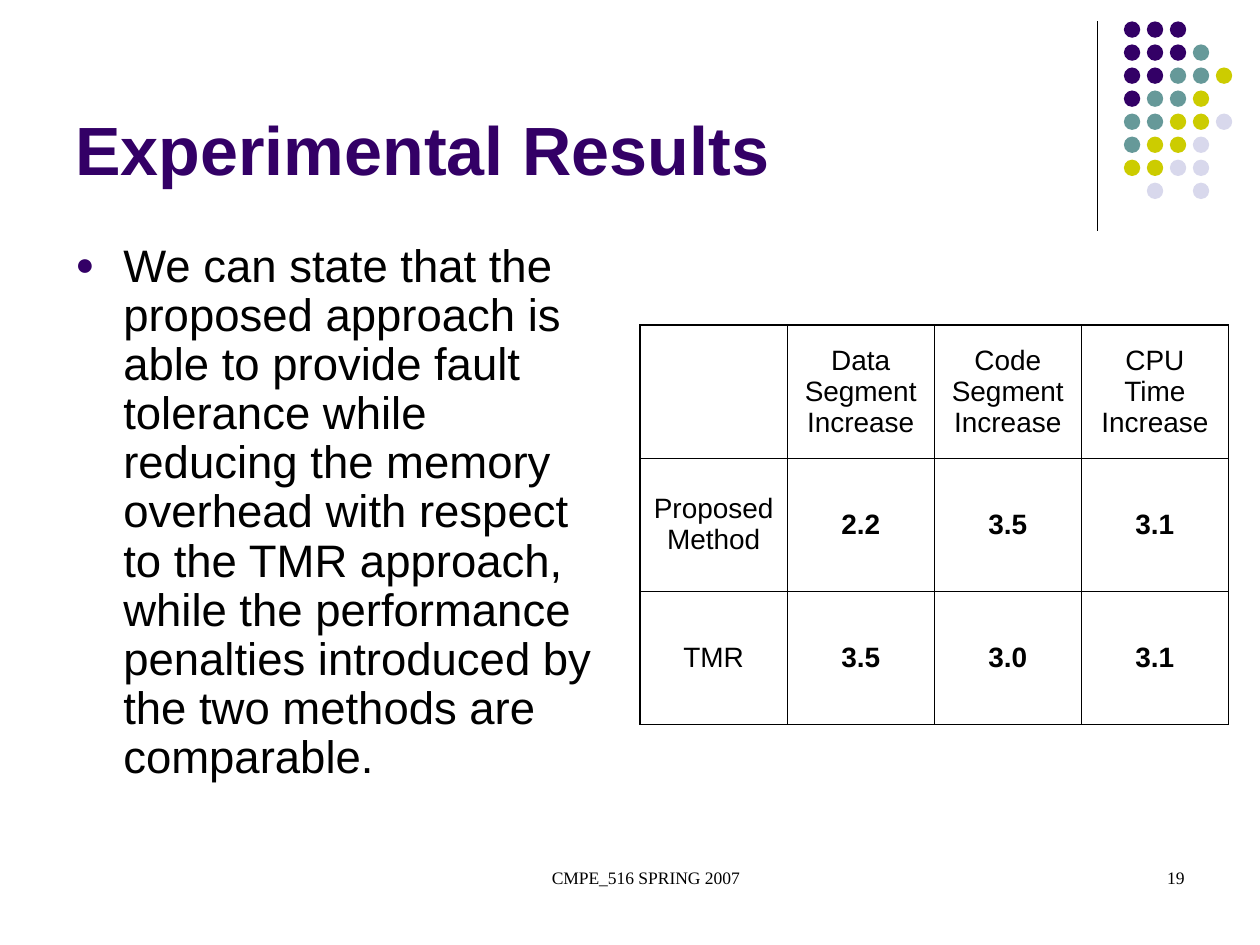
from lxml import etree
from pptx import Presentation
from pptx.dml.color import RGBColor
from pptx.enum import shapes, text
from pptx.oxml import ns
from pptx.util import Inches, Pt

PURPLE = RGBColor(0x33, 0x00, 0x66)
TEAL = RGBColor(0x66, 0x99, 0x99)
OLIVE = RGBColor(0xCC, 0xCC, 0x00)
LAVENDER = RGBColor(0xD8, 0xD8, 0xEC)
BLACK = RGBColor(0x00, 0x00, 0x00)

DOT_COLORS = {"P": PURPLE, "T": TEAL, "O": OLIVE, "L": LAVENDER}
DOT_ROWS = ["PPP", "PPPT", "PPTTO", "PTTO", "TTOOL", "TOOL", "OOLL", " L L"]
RESULTS = [
    ["", "Data Segment Increase", "Code Segment Increase", "CPU Time Increase"],
    ["Proposed Method", "2.2", "3.5", "3.1"],
    ["TMR", "3.5", "3.0", "3.1"],
]
STATEMENT = (
    "We can state that the proposed approach is able to provide fault tolerance "
    "while reducing the memory overhead with respect to the TMR approach, while "
    "the performance penalties introduced by the two methods are comparable."
)


def add_child(parent, tag, **attributes):
    """Append a DrawingML element and return it."""
    return etree.SubElement(parent, ns.qn(tag), attributes)


def style(paragraph, size, color=BLACK, name="Arial", bold=False):
    """Format every run of a paragraph."""
    for run in paragraph.runs:
        run.font.size = Pt(size)
        run.font.name = name
        run.font.bold = bold
        run.font.color.rgb = color


def add_text(slide, box, words, anchor=text.MSO_ANCHOR.TOP):
    """Place a wrapping text box and return its paragraph."""
    frame = slide.shapes.add_textbox(*box).text_frame
    frame.word_wrap = True
    frame.vertical_anchor = anchor
    frame.text = words
    return frame.paragraphs[0]


def add_divider(slide, x, top, bottom):
    """Draw the vertical rule beside the dots."""
    divider = slide.shapes.add_connector(
        shapes.MSO_CONNECTOR.STRAIGHT, x, top, x, bottom)
    divider.line.color.rgb = BLACK
    divider.line.width = Pt(0.75)
    add_child(divider._element.spPr, "a:effectLst")


def add_dots(slide, left, top, width, height):
    """Fill a box with the grid of coloured dots."""
    size = Inches(0.13)
    column_step = (width - size) / (max(map(len, DOT_ROWS)) - 1)
    row_step = (height - size) / (len(DOT_ROWS) - 1)
    dots = slide.shapes.add_group_shape()
    for row, codes in enumerate(DOT_ROWS):
        for column, code in enumerate(codes):
            if code == " ":
                continue
            dot = dots.shapes.add_shape(
                shapes.MSO_SHAPE.OVAL, round(left + column * column_step),
                round(top + row * row_step), size, size)
            dot.shadow.inherit = False
            dot.fill.solid()
            dot.fill.fore_color.rgb = DOT_COLORS[code]
            dot.line.fill.background()


def add_title(slide, *box):
    """Write the slide title."""
    title = add_text(slide, box, "Experimental Results", text.MSO_ANCHOR.BOTTOM)
    style(title, 39, PURPLE, bold=True)


def add_statement(slide, *box):
    """Write the bulleted conclusion."""
    statement = add_text(slide, box, STATEMENT)
    properties = statement._p.get_or_add_pPr()
    properties.set("marL", str(Inches(0.38)))
    properties.set("indent", str(-Inches(0.38)))
    bullet_color = add_child(properties, "a:buClr")
    add_child(bullet_color, "a:srgbClr", val=str(PURPLE))
    add_child(properties, "a:buSzPct", val="70000")
    add_child(properties, "a:buFont", typeface="Arial")
    add_child(properties, "a:buChar", char="●")
    statement.line_spacing = 0.9
    style(statement, 26)


def add_borders(cell, outer_sides):
    """Draw a cell's four borders, heavier on the table's outside."""
    properties = cell._tc.get_or_add_tcPr()
    for position, side in enumerate("LRTB"):
        weight = Pt(1.08 if side in outer_sides else 0.45)
        border = etree.Element(ns.qn(f"a:ln{side}"), w=str(weight))
        fill = add_child(border, "a:solidFill")
        add_child(fill, "a:srgbClr", val=str(BLACK))
        properties.insert(position, border)


def add_results(slide, left, top, width, height):
    """Build the table that compares the two methods."""
    last_row, last_column = len(RESULTS) - 1, len(RESULTS[0]) - 1
    table = slide.shapes.add_table(
        last_row + 1, last_column + 1, left, top, width, height).table
    table.first_row = table.horz_banding = False
    for row, values in enumerate(RESULTS):
        for column, value in enumerate(values):
            cell = table.cell(row, column)
            cell.text = value
            cell.vertical_anchor = text.MSO_ANCHOR.MIDDLE
            cell.fill.background()
            paragraph = cell.text_frame.paragraphs[0]
            paragraph.alignment = text.PP_ALIGN.CENTER
            style(paragraph, 16, bold=row > 0 and column > 0)
            edges = {"L": column == 0, "R": column == last_column,
                     "T": row == 0, "B": row == last_row}
            add_borders(cell, [side for side, outer in edges.items() if outer])


def add_footer(slide, words, alignment, *box):
    """Write one part of the footer."""
    footer = add_text(slide, box, words)
    footer._p.get_or_add_pPr().set("marL", str(Inches(0.24)))
    footer.alignment = alignment
    style(footer, 10, name="Times New Roman")


def main():
    """Build and save the slide."""
    deck = Presentation()
    deck.slide_width, deck.slide_height = Inches(10), Inches(7.5)
    slide = deck.slides.add_slide(deck.slide_layouts[6])
    add_divider(slide, Inches(8.71), Inches(0.17), Inches(1.83))
    add_dots(slide, Inches(8.92), Inches(0.17), Inches(0.86), Inches(1.41))
    add_title(slide, Inches(0.5), Inches(0.13), Inches(8.25), Inches(1.42))
    add_statement(slide, Inches(0.5), Inches(1.88), Inches(4.42), Inches(4.82))
    add_results(slide, Inches(5.08), Inches(2.58), Inches(4.67), Inches(3.17))
    add_footer(slide, "CMPE_516 SPRING 2007", text.PP_ALIGN.CENTER,
               Inches(3.42), Inches(6.83), Inches(3.17), Inches(0.5))
    add_footer(slide, "19", text.PP_ALIGN.RIGHT,
               Inches(7.17), Inches(6.83), Inches(2.33), Inches(0.5))
    deck.save("out.pptx")


if __name__ == "__main__":
    main()
